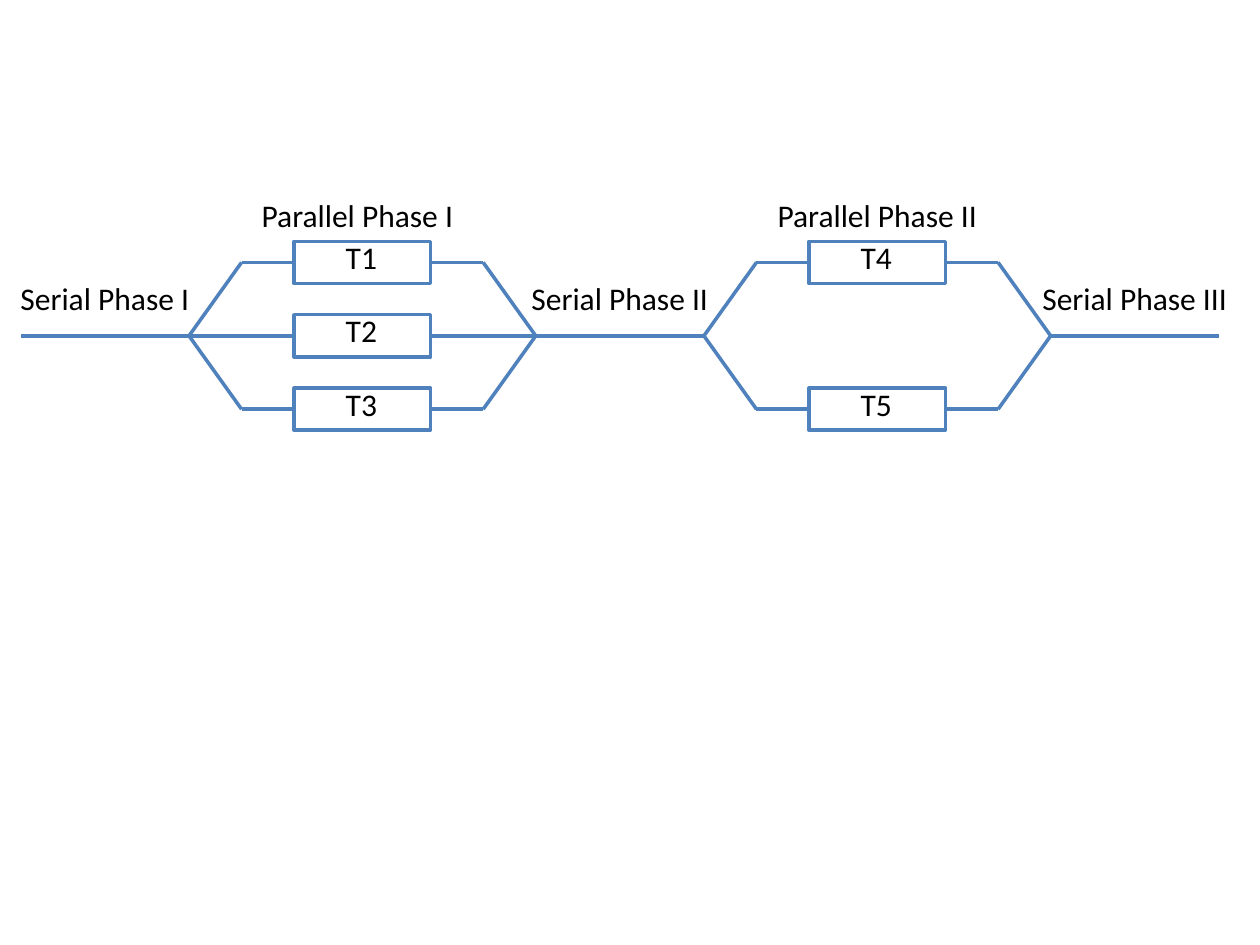
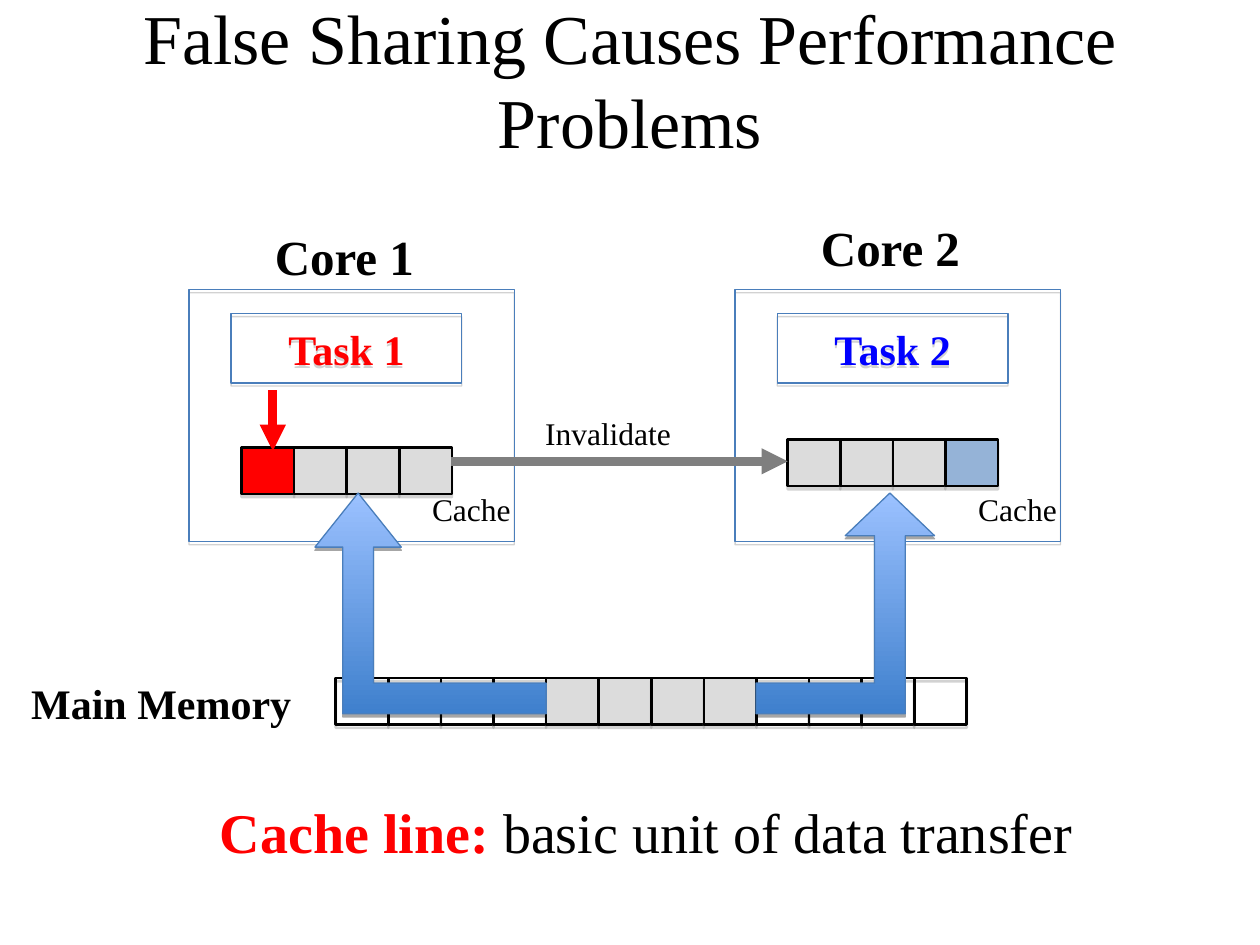
import pptx
import pptx.dml.color
import pptx.enum.shapes
import pptx.enum.text
import pptx.oxml.ns
import pptx.util
from dataclasses import dataclass
from lxml import etree

Cm, Pt = pptx.util.Cm, pptx.util.Pt
qn = pptx.oxml.ns.qn
ALIGN = pptx.enum.text.PP_ALIGN
ANCHOR = pptx.enum.text.MSO_ANCHOR
FIT = pptx.enum.text.MSO_AUTO_SIZE
RECT = pptx.enum.shapes.MSO_SHAPE.RECTANGLE
STRAIGHT = pptx.enum.shapes.MSO_CONNECTOR.STRAIGHT


@dataclass(frozen=True)
class Theme:
    sans: str = "Calibri"
    serif: str = "Times New Roman"
    black: str = "000000"
    white: str = "FFFFFF"
    flow: str = "4F81BD"
    frame: str = "4A7EBB"
    red: str = "FF0000"
    blue: str = "0000FF"
    cached: str = "DCDCDC"
    used: str = "95B3D7"
    message: str = "7F7F7F"
    shadow: str = "808080"
    grad_top: str = "9BC1FF"
    grad_bottom: str = "3F80CD"
    title: int = 40
    caption: int = 32
    core: int = 28
    label: int = 24
    body: int = 18


T = Theme()


# Shared helpers; all lengths are in centimetres
def rgb(value):
    return pptx.dml.color.RGBColor.from_string(value)


def apply(obj, **fmt):
    for name, value in fmt.items():
        setattr(obj, name, value)


def write(tf, runs, align=ALIGN.LEFT, **frame):
    """Fill a frame with one paragraph of (text, size, colour, bold, font) runs."""
    apply(tf, **frame)
    p = tf.paragraphs[0]
    p.alignment = align
    for text, size, color, bold, font in runs:
        r = p.add_run()
        r.text = text
        apply(r.font, size=Pt(size), bold=bold, name=font)
        r.font.color.rgb = rgb(color)


def add_text(s, x, y, w, h, *runs, align=ALIGN.LEFT, wrap=False, inset=0.25):
    tb = s.shapes.add_textbox(Cm(x), Cm(y), Cm(w), Cm(h))
    write(tb.text_frame, runs, align, word_wrap=wrap,
          auto_size=FIT.SHAPE_TO_FIT_TEXT,
          margin_left=Cm(inset), margin_right=Cm(inset))


def add_line(s, x1, y1, x2, y2, color=T.flow, width=2, arrow=False):
    c = s.shapes.add_connector(STRAIGHT, Cm(x1), Cm(y1), Cm(x2), Cm(y2))
    c.line.color.rgb = rgb(color)
    c.line.width = Pt(width)
    spPr = c._element.spPr
    if arrow:
        etree.SubElement(spPr.find(qn("a:ln")), qn("a:tailEnd"), type="triangle")
    etree.SubElement(spPr, qn("a:effectLst"))


def set_outline(sp, color, width, shadow=None):
    sp.line.color.rgb = rgb(color)
    sp.line.width = Pt(width)
    sp.shadow.inherit = False
    if shadow:
        effects = sp._element.spPr.find(qn("a:effectLst"))
        outer = etree.SubElement(effects, qn("a:outerShdw"), blurRad="0",
                                 dist=str(Pt(1.8)), dir="5400000", rotWithShape="0")
        tint = etree.SubElement(outer, qn("a:srgbClr"), val=shadow)
        etree.SubElement(tint, qn("a:alpha"), val="35000")


def add_rect(s, x, y, w, h, fill, line, width, shadow=None):
    sp = s.shapes.add_shape(RECT, Cm(x), Cm(y), Cm(w), Cm(h))
    if fill:
        sp.fill.solid()
        sp.fill.fore_color.rgb = rgb(fill)
    else:
        sp.fill.background()
    set_outline(sp, line, width, shadow)
    return sp


# Slide 1: alternating serial and parallel phases
SERIAL_W, STUB, TASK_W, TASK_H, ROW = 3.39, 1.06, 2.75, 0.85, 1.48
PHASE_W = 4 * STUB + TASK_W


def phase_label(s, text, center, y):
    w = 4.6
    add_text(s, center - w / 2, y, w, 1.02, (text, T.body, T.black, False, T.sans),
             align=ALIGN.CENTER, wrap=True, inset=0)


def serial_phase(s, x, y, name):
    add_line(s, x, y, x + SERIAL_W, y)
    phase_label(s, name, x + SERIAL_W / 2, y - 1.26)


def parallel_phase(s, x, y, name, tasks, label_shift=0):
    """Fork at (x, y), one row per task, then join; tasks maps names to rows."""
    box_x, end = x + 2 * STUB, x + PHASE_W
    for task, row in tasks.items():
        cy = y + row * ROW
        for fork, bend, side in ((x, x + STUB, box_x),
                                 (end, end - STUB, box_x + TASK_W)):
            if row:
                add_line(s, fork, y, bend, cy)
                add_line(s, bend, cy, side, cy)
            else:
                add_line(s, fork, y, side, cy)
        add_rect(s, box_x, cy - TASK_H / 2, TASK_W, TASK_H, T.white, T.flow, 2)
        add_text(s, box_x + 0.79, cy - 0.62, 1.14, 1.02,
                 (task, T.body, T.black, False, T.sans))
    phase_label(s, name, x + PHASE_W / 2 + label_shift, y - 2.94)


def phases_slide(prs):
    s = prs.slides.add_slide(prs.slide_layouts[6])
    x, y = 0.42, 6.77
    period = SERIAL_W + PHASE_W
    for i, number in enumerate(("I", "II", "III")):
        serial_phase(s, x + i * period, y, f"Serial Phase {number}")
    fork = x + SERIAL_W
    parallel_phase(s, fork, y, "Parallel Phase I", {"T1": -1, "T2": 0, "T3": 1}, -0.1)
    parallel_phase(s, fork + period, y, "Parallel Phase II", {"T4": -1, "T5": 1})


# Slide 2: false sharing between two caches
CELL_W, CELL_H = 1.06, 0.94


def cell_row(s, x, y, fills):
    for i, fill in enumerate(fills):
        add_rect(s, x + i * CELL_W, y, CELL_W, CELL_H, fill, T.black, 1.5, T.shadow)


def core(s, x, y, number, color, fills, label_dy, cache_dy):
    add_rect(s, x, y, 6.56, 5.08, None, T.frame, 0.75, T.shadow)
    add_text(s, x + 1.48, y + label_dy, 3.66, 1.45,
             (f"Core {number}", T.core, T.black, True, T.serif))
    task = add_rect(s, x + 0.85, y + 0.48, 4.65, 1.4, None, T.frame, 0.75, T.shadow)
    write(task.text_frame, [(f"Task {number}", T.label, color, True, T.serif)],
          ALIGN.CENTER, vertical_anchor=ANCHOR.MIDDLE, margin_left=0, margin_right=0)
    cell_row(s, x + 1.06, y + cache_dy, fills)
    add_text(s, x + 4.65, y + 3.91, 2.12, 1.78,
             ("Cache", T.body, T.black, False, T.serif), wrap=True)


def main_memory(s, x, y):
    cell_row(s, x, y, [None] * 4 + [T.cached] * 4 + [None] * 4)
    add_text(s, x - 6.39, y - 0.13, 6.48, 1.27,
             ("Main Memory", T.label, T.black, True, T.serif))


def transfer_arrow(s, x, y, reach, head_half, head_h):
    """Bent arrow with its tip at (x, y); reach is the signed length of its foot."""
    half, foot = 0.31, 4.45
    side = 1 if reach > 0 else -1
    inner, outer, head = side * half, -side * half, side * head_half
    outline = [(reach, foot - 2 * half), (inner, foot - 2 * half), (inner, head_h),
               (head, head_h), (0, 0), (-head, head_h), (outer, head_h),
               (outer, foot), (reach, foot)]
    points = [(Cm(x + dx), Cm(y + dy)) for dx, dy in outline]
    fb = s.shapes.build_freeform(*points[0])
    fb.add_line_segments(points[1:], close=True)
    sp = fb.convert_to_shape()
    sp.fill.gradient()
    sp.fill.gradient_angle = 270
    for stop, color, at in zip(sp.fill.gradient_stops,
                               (T.grad_top, T.grad_bottom), (0, 1)):
        stop.color.rgb = rgb(color)
        stop.position = at
    set_outline(sp, T.frame, 0.75, T.black)


def add_title(s, text):
    title = s.shapes.title
    apply(title, left=0, top=0, width=Cm(25.4), height=Cm(3.18))
    write(title.text_frame, [(text, T.title, T.black, False, T.serif)], ALIGN.CENTER,
          vertical_anchor=ANCHOR.MIDDLE, word_wrap=True, auto_size=FIT.NONE)


def false_sharing_slide(prs):
    s = prs.slides.add_slide(prs.slide_layouts[5])
    add_title(s, "False Sharing Causes Performance Problems")
    main_memory(s, 6.77, 13.67)
    core(s, 3.81, 5.84, 1, T.red, [T.red] + [T.cached] * 3, -1.4, 3.18)
    core(s, 14.82, 5.84, 2, T.blue, [T.cached] * 3 + [T.used], -1.57, 3.02)

    # Invalidate message from cache to cache
    add_line(s, 9.1, 9.3, 15.88, 9.3, T.message, 5, arrow=True)
    add_text(s, 10.74, 8.23, 3.58, 1.02,
             ("Invalidate", T.body, T.black, False, T.serif))

    # Cache line transfers, then the write by task 1
    transfer_arrow(s, 7.22, 9.94, 3.79, 0.87, 1.09)
    transfer_arrow(s, 17.94, 9.94, -2.7, 0.9, 0.86)
    add_line(s, 5.5, 7.87, 5.5, 9.09, T.red, 5, arrow=True)

    # Definition
    add_text(s, 2.54, 15.95, 20.98, 1.63,
             ("Cache line: ", T.caption, T.red, True, T.serif),
             ("basic unit of data transfer", T.caption, T.black, False, T.serif),
             align=ALIGN.CENTER)


def main():
    prs = pptx.Presentation()
    apply(prs, slide_width=Cm(25.4), slide_height=Cm(19.05))
    phases_slide(prs)
    false_sharing_slide(prs)
    prs.save("out.pptx")


if __name__ == "__main__":
    main()
